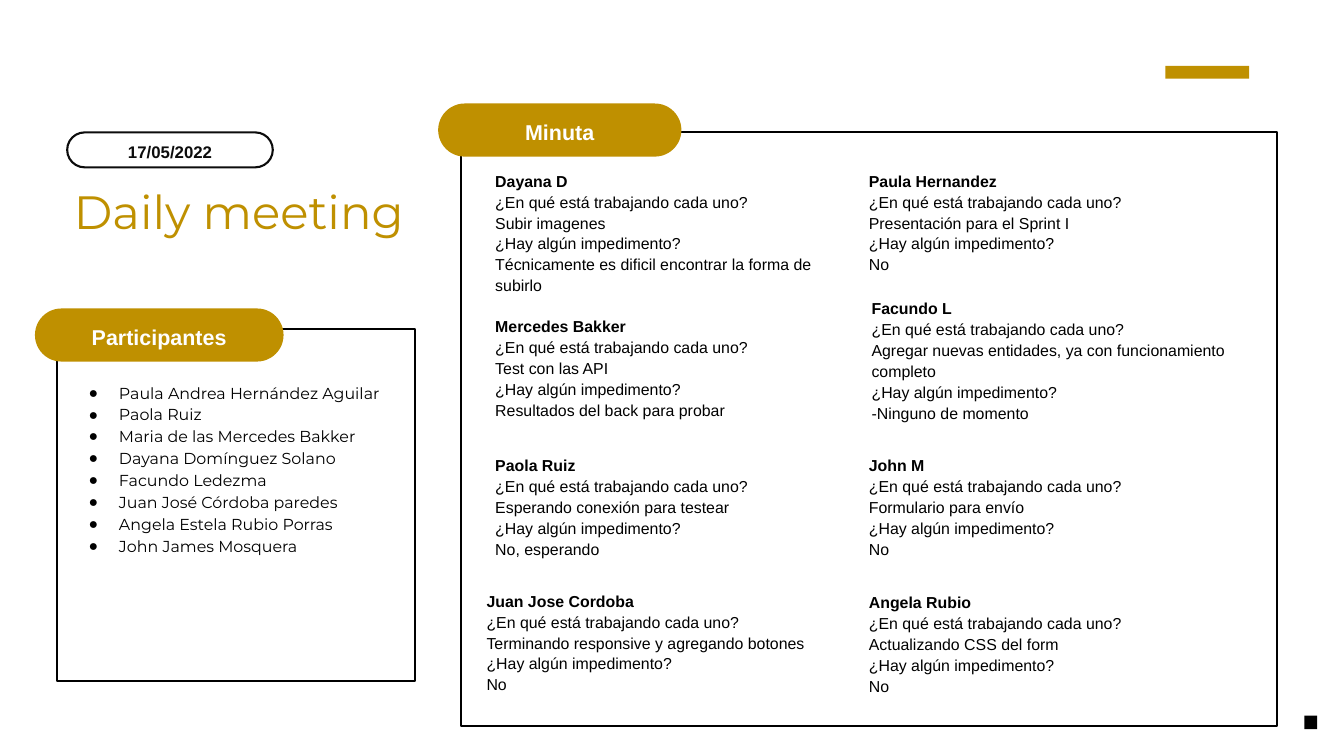
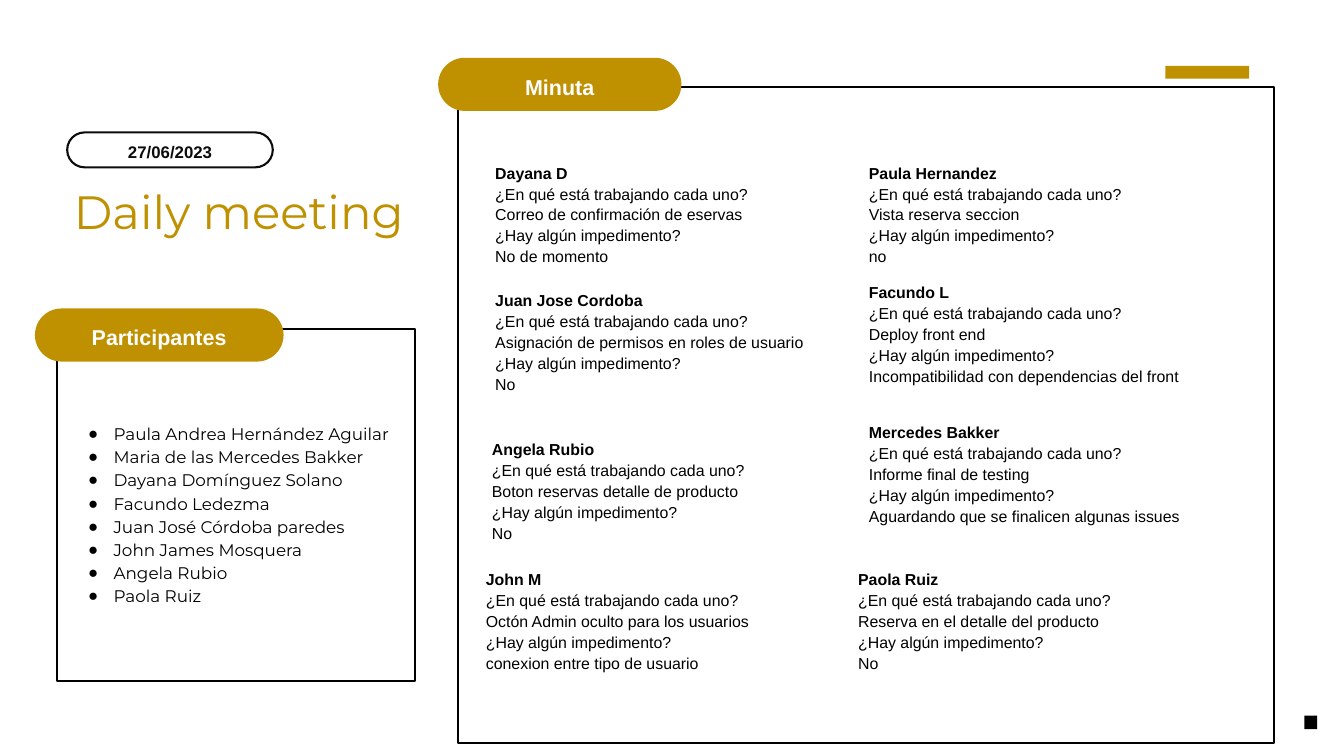
from lxml.etree import SubElement
from pptx import Presentation
from pptx.dml.color import RGBColor
from pptx.enum.shapes import MSO_SHAPE
from pptx.enum.text import MSO_ANCHOR, MSO_AUTO_SIZE, PP_ALIGN
from pptx.oxml.ns import qn
from pptx.util import Inches, Pt

COLORS = {"gold": "BF9000", "black": "000000", "ink": "0C0C0C", "white": "FFFFFF"}
HEADING_FONT, TEXT_FONT = "Montserrat", "Arial"
WORK_QUESTION = "¿En qué está trabajando cada uno?"
BLOCKER_QUESTION = "¿Hay algún impedimento?"

# Each note: left, top, width, height, name, work, blocker
MEETINGS = [
    {
        "date": "17/05/2022",
        "list": {"at": (1.27, 5.66, 4.65, 4.42), "size": 17, "hanging": 0.45},
        "people": ["Paula Andrea Hernández Aguilar", "Paola Ruiz",
                   "Maria de las Mercedes Bakker", "Dayana Domínguez Solano",
                   "Facundo Ledezma", "Juan José Córdoba paredes",
                   "Angela Estela Rubio Porras", "John James Mosquera"],
        "minutes_panel": (6.86, 1.97, 12.14, 8.83),
        "minutes_tab_top": 1.54,
        "notes": [
            (7.37, 4.68, 5.26, 1.55, "Mercedes Bakker",
             "Test con las API", "Resultados del back para probar"),
            (12.93, 2.52, 6.03, 1.55, "Paula Hernandez",
             "Presentación para el Sprint I", "No"),
            (7.37, 2.52, 5.37, 1.86, "Dayana D", "Subir imagenes",
             "Técnicamente es dificil encontrar la forma de subirlo"),
            (12.97, 4.42, 5.94, 1.86, "Facundo L",
             "Agregar nuevas entidades, ya con funcionamiento completo",
             "-Ninguno de momento"),
            (12.93, 6.75, 5.94, 1.55, "John M", "Formulario para envío", "No"),
            (7.37, 6.75, 5.94, 1.55, "Paola Ruiz",
             "Esperando conexión para testear", "No, esperando"),
            (7.24, 8.77, 5.94, 1.55, "Juan Jose Cordoba",
             "Terminando responsive y agregando botones", "No"),
            (12.93, 8.79, 5.94, 1.55, "Angela Rubio",
             "Actualizando CSS del form", "No"),
        ],
    },
    {
        "date": "27/06/2023",
        "list": {"at": (1.19, 6.26, 4.65, 3.07), "size": 18, "hanging": 0.38},
        "people": ["Paula Andrea Hernández Aguilar", "Maria de las Mercedes Bakker",
                   "Dayana Domínguez Solano", "Facundo Ledezma",
                   "Juan José Córdoba paredes", "John James Mosquera",
                   "Angela Rubio", "Paola Ruiz"],
        "minutes_panel": (6.82, 1.3, 12.14, 9.75),
        "minutes_tab_top": 0.86,
        "notes": [
            (12.93, 6.26, 5.26, 1.55, "Mercedes Bakker",
             "Informe final de testing", "Aguardando que se finalicen algunas issues"),
            (12.93, 2.4, 6.03, 1.55, "Paula Hernandez", "Vista reserva seccion", "no"),
            (7.37, 2.4, 5.14, 1.55, "Dayana D",
             "Correo de confirmación de eservas", "No de momento"),
            (12.93, 4.18, 5.94, 1.55, "Facundo L",
             "Deploy front end", "Incompatibilidad con dependencias del front"),
            (7.37, 4.3, 4.94, 1.55, "Juan Jose Cordoba",
             "Asignación de permisos en roles de usuario", "No"),
            (7.32, 6.51, 5.26, 1.55, "Angela Rubio",
             "Boton reservas detalle de producto", "No"),
            (7.23, 8.45, 5.55, 1.55, "John M",
             "Octón Admin oculto para los usuarios", "conexion entre tipo de usuario"),
            (12.77, 8.45, 5.26, 1.55, "Paola Ruiz",
             "Reserva en el detalle del producto", "No"),
        ],
    },
]


def color(name):
    return RGBColor.from_string(COLORS[name])


def place(shape, at):
    shape.left, shape.top, shape.width, shape.height = map(Inches, at)


def write(para, text, size=17, font=TEXT_FONT, ink="black", bold=False,
          align=PP_ALIGN.LEFT, spacing=1.1):
    """Put one formatted span of text in a paragraph."""
    para.alignment, para.line_spacing = align, spacing
    para.space_before = Pt(0)
    span = para.add_run()
    span.text = text
    span.font.name, span.font.size, span.font.bold = font, Pt(size), bold
    span.font.color.rgb = color(ink)


def add_bullet(para, indent, hanging):
    properties = para._p.get_or_add_pPr()
    properties.set("marL", str(Inches(indent)))
    properties.set("indent", str(-Inches(hanging)))
    bullet_color = SubElement(properties, qn("a:buClr"))
    SubElement(bullet_color, qn("a:srgbClr"), val=COLORS["black"])
    SubElement(properties, qn("a:buChar"), char="●")


class MeetingPage:
    """Holds the deck's style and the slide being built."""

    def __init__(self, deck):
        self.deck = deck
        self.page = None

    def start(self):
        self.page = self.deck.slides.add_slide(self.deck.slide_layouts[1])

    def frame(self, shape, inset=0.0, anchor=MSO_ANCHOR.TOP,
              fit=MSO_AUTO_SIZE.SHAPE_TO_FIT_TEXT):
        frame = shape.text_frame
        frame.word_wrap, frame.auto_size = True, fit
        frame.vertical_anchor = anchor
        frame.margin_left = frame.margin_right = Inches(inset)
        frame.margin_top = frame.margin_bottom = Inches(inset)
        return frame

    def shape(self, kind, at, fill=None, line=None, adjust=()):
        shape = self.page.shapes.add_shape(kind, *map(Inches, at))
        shape.shadow.inherit = False
        for index, value in enumerate(adjust):
            shape.adjustments[index] = value
        if fill:
            shape.fill.solid()
            shape.fill.fore_color.rgb = color(fill)
        else:
            shape.fill.background()
        if line:
            shape.line.color.rgb = color(line)
            shape.line.width = Pt(2.25)
        else:
            shape.line.fill.background()

    def panel(self, at):
        self.shape(MSO_SHAPE.ROUND_2_SAME_RECTANGLE, at, line="black", adjust=(0, 0))

    def pill(self, at, fill, line=None):
        self.shape(MSO_SHAPE.ROUNDED_RECTANGLE, at, fill, line, adjust=(0.5,))

    def text(self, at, lines, inset=0.0, bold_first=True, **style):
        box = self.page.shapes.add_textbox(*map(Inches, at))
        frame = self.frame(box, inset)
        for index, line in enumerate(lines):
            para = frame.add_paragraph() if index else frame.paragraphs[0]
            write(para, line, bold=bold_first and index == 0, **style)

    def tab(self, left, top, width, label):
        """Gold pill with its label centred on it."""
        self.pill((left, top, width, 0.79), "gold")
        self.text((left + (width - 2.6) / 2, top + 0.2, 2.6, 0.39), [label],
                  size=23, ink="white", align=PP_ALIGN.CENTER)

    def title(self, text):
        holder = self.page.shapes.title
        place(holder, (1, 2.72, 5.33, 0.84))
        frame = self.frame(holder, 0.1, MSO_ANCHOR.MIDDLE, MSO_AUTO_SIZE.NONE)
        write(frame.paragraphs[0], text, size=50, font=HEADING_FONT,
              ink="gold", spacing=1.0)

    def people(self, names, at, size, hanging):
        holder = self.page.placeholders[1]
        place(holder, at)
        frame = self.frame(holder, fit=MSO_AUTO_SIZE.NONE)
        for index, name in enumerate(names):
            para = frame.add_paragraph() if index else frame.paragraphs[0]
            add_bullet(para, 0.5, hanging)
            write(para, name, size=size, font=HEADING_FONT, spacing=1.15)

    def date(self, text):
        self.pill((1, 1.97, 3.06, 0.52), "white", "ink")
        self.text((1.17, 1.98, 2.72, 0.5), [text], inset=0.1,
                  size=18, ink="ink", align=PP_ALIGN.CENTER)

    def accents(self):
        self.shape(MSO_SHAPE.RECTANGLE, (17.34, 0.98, 1.25, 0.19), "gold")
        self.shape(MSO_SHAPE.RECTANGLE, (19.41, 10.65, 0.19, 0.2), "black")

    def build(self, meeting):
        self.start()
        self.accents()
        # Heading and participants
        self.title("Daily meeting")
        self.date(meeting["date"])
        self.panel((0.85, 4.89, 5.33, 5.24))
        self.tab(0.52, 4.59, 3.7, "Participantes")
        self.people(meeting["people"], **meeting["list"])
        # Minutes
        self.panel(meeting["minutes_panel"])
        self.tab(6.52, meeting["minutes_tab_top"], 3.62, "Minuta")
        for *at, name, work, blocker in meeting["notes"]:
            self.text(at, [name, WORK_QUESTION, work, BLOCKER_QUESTION, blocker])


def main():
    deck = Presentation()
    deck.slide_width, deck.slide_height = Inches(20), Inches(11.25)
    builder = MeetingPage(deck)
    for meeting in MEETINGS:
        builder.build(meeting)
    deck.save("out.pptx")


if __name__ == "__main__":
    main()
